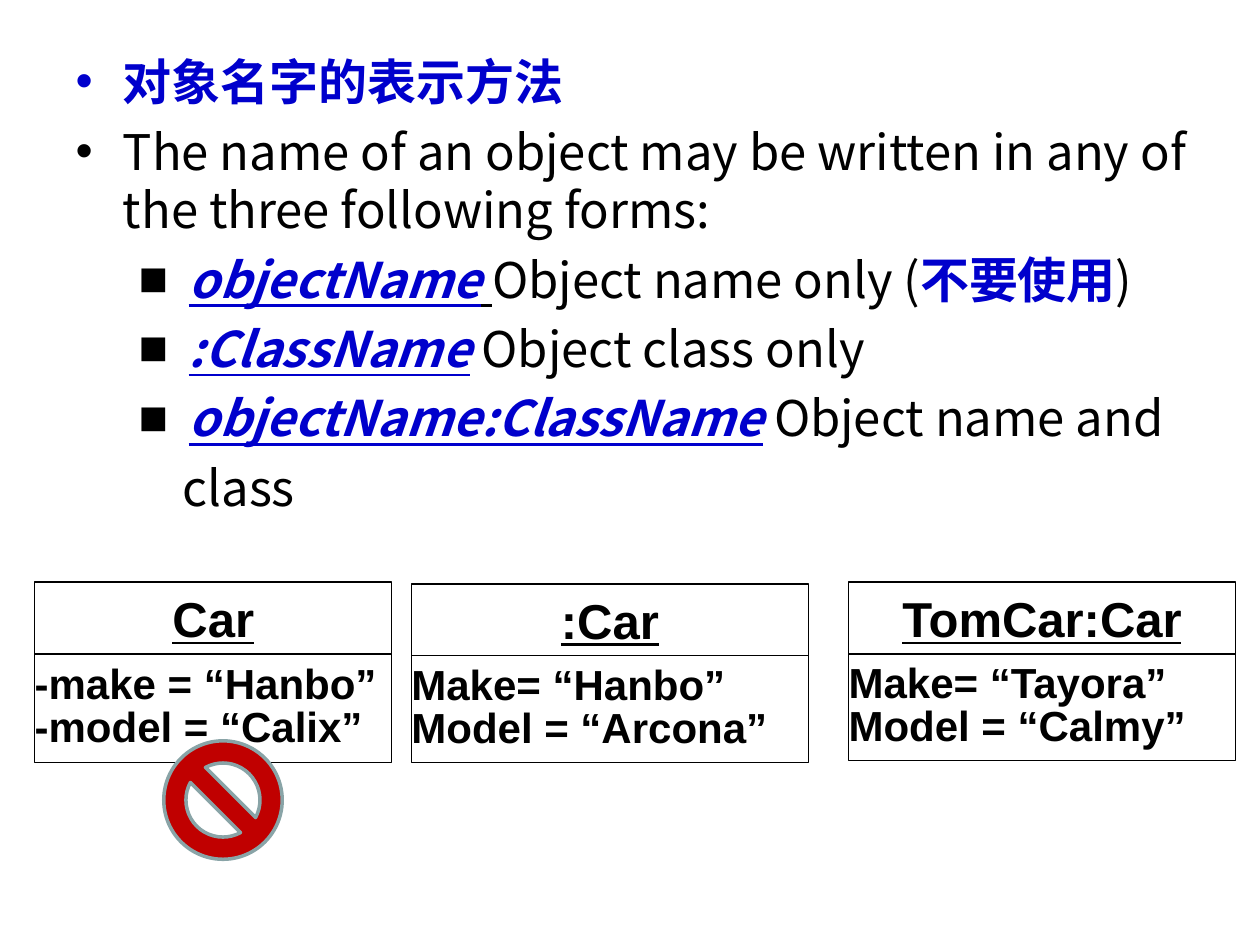
from collections import namedtuple
from dataclasses import dataclass

from lxml import etree
from pptx import Presentation
from pptx import util as u
from pptx.dml.color import RGBColor
from pptx.enum import shapes, text
from pptx.oxml import ns

# Lengths are columns and rows of a 100 x 75 grid
COLUMNS, ROWS = 100, 75
CELL = u.Inches(0.1)
Box = namedtuple("Box", "left top width height")


@dataclass(frozen=True)
class Theme:
    ink: str = "000000"
    accent: str = "0000CC"
    paper: str = "FFFFFF"
    ban: str = "C00000"
    ban_edge: str = "89A4A7"
    body_font: str = "Noto Sans CJK SC"
    card_font: str = "Arial"
    large: int = 28
    small: int = 24


THEME = Theme()
STRONG = dict(color=THEME.accent, bold=True)
TERM = dict(STRONG, italic=True, underline=True)
SLANT = dict(italic=True)


def grid(cells):
    return u.Emu(round(cells * CELL))


def place(box):
    return [grid(length) for length in box]


def add_span(para, words, font=THEME.body_font, size=THEME.large,
             color=THEME.ink, bold=False, italic=False, underline=False):
    span = para.add_run()
    span.text = words
    style = span.font
    style.name, style.size = font, u.Pt(size)
    style.bold, style.italic, style.underline = bold, italic, underline
    style.color.rgb = RGBColor.from_string(color)
    east_asian = etree.SubElement(style._element, ns.qn("a:ea"))
    east_asian.set("typeface", font)


def set_bullet(para, mark, color, margin, indent):
    props = para._p.get_or_add_pPr()
    props.set("marL", str(grid(margin)))
    props.set("indent", str(grid(indent)))
    if not mark:
        etree.SubElement(props, ns.qn("a:buNone"))
        return
    tint = etree.SubElement(props, ns.qn("a:buClr"))
    etree.SubElement(tint, ns.qn("a:srgbClr")).set("val", color)
    etree.SubElement(props, ns.qn("a:buFont")).set("typeface", THEME.card_font)
    etree.SubElement(props, ns.qn("a:buChar")).set("char", mark)


def set_frame(frame, anchor, sides, ends):
    frame.word_wrap = True
    frame.auto_size = text.MSO_AUTO_SIZE.NONE
    frame.vertical_anchor = anchor
    frame.margin_left = frame.margin_right = grid(sides)
    frame.margin_top = frame.margin_bottom = grid(ends)


def next_para(frame, index):
    return frame.add_paragraph() if index else frame.paragraphs[0]


def fill_body(body, box, items):
    body.left, body.top, body.width, body.height = place(box)
    frame = body.text_frame
    set_frame(frame, text.MSO_ANCHOR.TOP, sides=1, ends=0.5)
    for index, (level, mark, color, margin, indent, spans) in enumerate(items):
        para = next_para(frame, index)
        para.level = level
        para.line_spacing = 1.0
        para.space_before = u.Pt(6 if index else 0)
        set_bullet(para, mark, color, margin, indent)
        for words, style in spans:
            add_span(para, words, **style)


def add_panel(page, box, lines, align, spacing, **style):
    panel = page.shapes.add_shape(shapes.MSO_SHAPE.RECTANGLE, *place(box))
    panel.shadow.inherit = False
    panel.fill.solid()
    panel.fill.fore_color.rgb = RGBColor.from_string(THEME.paper)
    panel.line.color.rgb = RGBColor.from_string(THEME.ink)
    panel.line.width = u.Pt(0.75)
    set_frame(panel.text_frame, text.MSO_ANCHOR.MIDDLE, sides=0, ends=0.5)
    for index, words in enumerate(lines):
        para = next_para(panel.text_frame, index)
        para.alignment, para.line_spacing = align, spacing
        add_span(para, words, font=THEME.card_font, bold=True, **style)


def add_object_card(page, box, name, attributes):
    head = 5.7
    add_panel(page, box._replace(height=head), [name],
              text.PP_ALIGN.CENTER, 1.0, underline=True)
    add_panel(page, box._replace(top=box.top + head, height=box.height - head),
              attributes, text.PP_ALIGN.LEFT, 0.85, size=THEME.small)


def add_ban_sign(page, box):
    sign = page.shapes.add_shape(shapes.MSO_SHAPE.NO_SYMBOL, *place(box))
    sign.shadow.inherit = False
    sign.fill.solid()
    sign.fill.fore_color.rgb = RGBColor.from_string(THEME.ban)
    sign.line.color.rgb = RGBColor.from_string(THEME.ban_edge)
    sign.line.width = u.Pt(2)


def main():
    deck = Presentation()
    deck.slide_width, deck.slide_height = grid(COLUMNS), grid(ROWS)
    page = deck.slides.add_slide(deck.slide_layouts[1])
    title = page.shapes.title
    title._element.getparent().remove(title._element)

    # Naming rules
    top = (3.75, -3.75)
    sub = (1, "■", THEME.ink, 8.1, -3.1)
    fill_body(page.placeholders[1], Box(5, 3.6, 92.3, 38.6), [
        (0, "•", THEME.accent, *top, [("对象名字的表示方法", STRONG)]),
        (0, "•", THEME.ink, *top, [
            ("The name of an object may be written in any of "
             "the three following forms:", {})]),
        (*sub, [(" ", SLANT), ("objectName", TERM),
                (" ", dict(SLANT, underline=True)),
                ("Object name only (", {}), ("不要使用", STRONG), (")", {})]),
        (*sub, [(" ", SLANT), (":ClassName", TERM), (" ", SLANT),
                ("Object class only", {})]),
        (*sub, [(" ", SLANT), ("objectName:ClassName", TERM), (" ", SLANT),
                ("Object name and", {})]),
        (1, None, THEME.ink, 8.5, 0, [("class", {})]),
    ])

    # Object examples
    cards = [
        (Box(2.75, 46.2, 28.35, 14.3), "Car",
         ["-make = “Hanbo”", "-model = “Calix”"]),
        (Box(67.35, 46.2, 30.7, 14.15), "TomCar:Car",
         ["Make= “Tayora”", "Model = “Calmy”"]),
        (Box(32.65, 46.35, 31.5, 14.15), ":Car",
         ["Make= “Hanbo”", "Model = “Arcona”"]),
    ]
    for box, name, attributes in cards:
        add_object_card(page, box, name, attributes)

    # Discouraged form
    add_ban_sign(page, Box(13, 58.8, 9.4, 9.4))

    deck.save("out.pptx")


if __name__ == "__main__":
    main()
